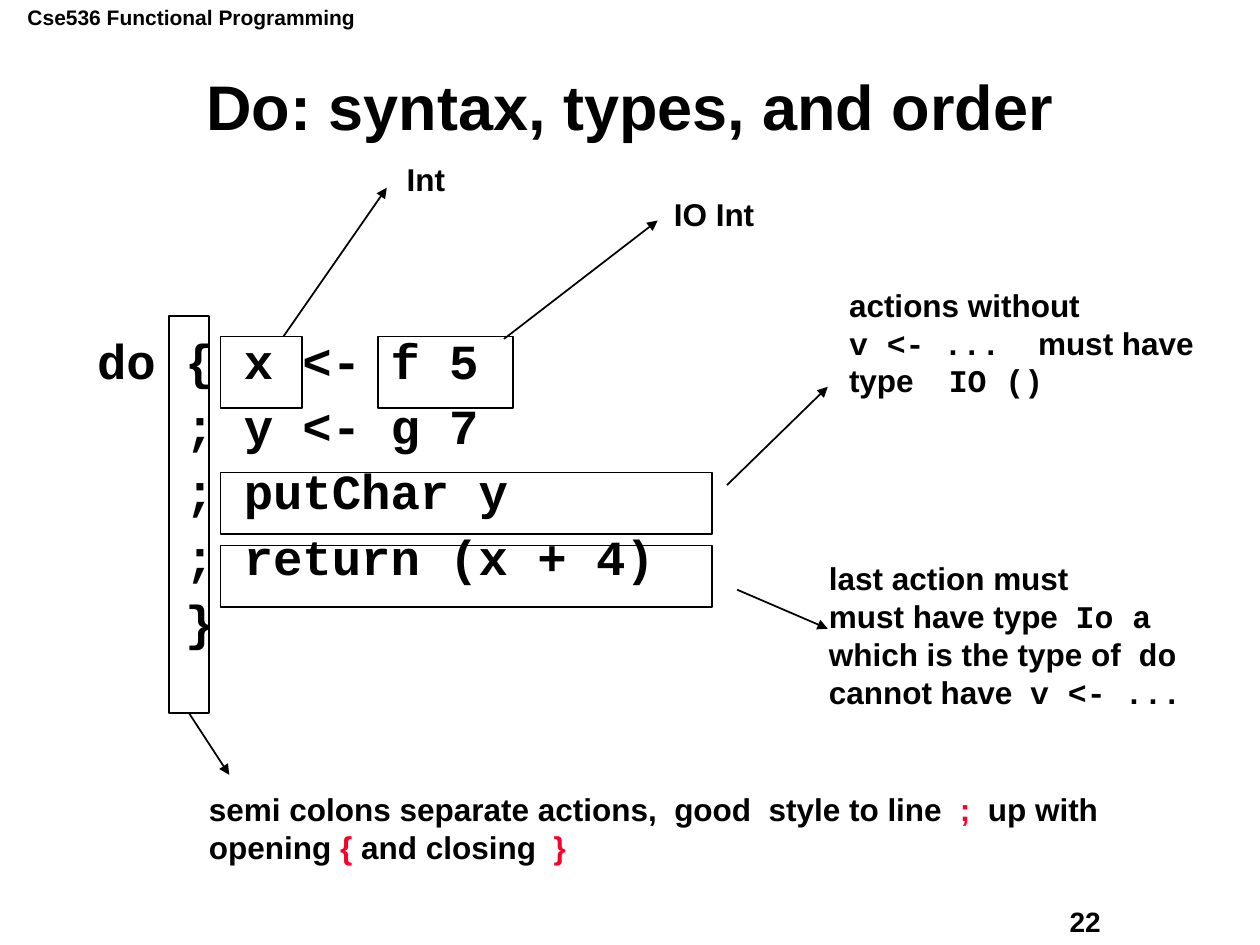
from dataclasses import dataclass

from lxml import etree
from pptx import Presentation
from pptx import util as u
from pptx.dml.color import RGBColor
from pptx.enum import shapes, text
from pptx.oxml.ns import qn

BLACK = RGBColor(0x00, 0x00, 0x00)
WHITE = RGBColor(0xFF, 0xFF, 0xFF)
RED = RGBColor(0xFC, 0x01, 0x28)
SANS = "Arial"
MONO = "Courier New"


@dataclass
class Box:
    left: float
    top: float
    width: float
    height: float

    def inside(self, left, top, width, height):
        return Box(self.left + left, self.top + top, width, height)

    def point(self, x, y):
        return self.left + x, self.top + y

    def lengths(self):
        return [u.Inches(n) for n in (self.left, self.top, self.width, self.height)]


def add_span(para, words, size, face=SANS, color=BLACK):
    span = para.add_run()
    span.text = words
    span.font.size = u.Pt(size)
    span.font.name = face
    span.font.bold = True
    span.font.color.rgb = color


def set_insets(frame):
    frame.margin_left = frame.margin_right = u.Inches(0.1)
    frame.margin_top = frame.margin_bottom = u.Inches(0.05)


def add_note(page, box, lines, size=18, wrap=False):
    frame = page.shapes.add_textbox(*box.lengths()).text_frame
    set_insets(frame)
    frame.word_wrap = wrap
    frame.auto_size = text.MSO_AUTO_SIZE.SHAPE_TO_FIT_TEXT
    for index, spans in enumerate(lines):
        para = frame.add_paragraph() if index else frame.paragraphs[0]
        for words, *style in spans:
            add_span(para, words, size, *style)


def add_frame(page, box):
    frame = page.shapes.add_shape(shapes.MSO_SHAPE.RECTANGLE, *box.lengths())
    frame.shadow.inherit = False
    frame.fill.solid()
    frame.fill.fore_color.rgb = WHITE
    frame.line.color.rgb = BLACK
    frame.line.width = u.Pt(1)
    return frame


def add_arrow(page, start, end):
    ends = [u.Inches(n) for n in (*start, *end)]
    arrow = page.shapes.add_connector(shapes.MSO_CONNECTOR.STRAIGHT, *ends)
    arrow.line.color.rgb = BLACK
    arrow.line.width = u.Pt(1)
    etree.SubElement(arrow.line._get_or_add_ln(), qn("a:tailEnd"), type="triangle")
    etree.SubElement(arrow.element.spPr, qn("a:effectLst"))
    return arrow


def place_holder(holder, box):
    holder.left, holder.top, holder.width, holder.height = box.lengths()
    holder.element.getparent().append(holder.element)
    frame = holder.text_frame
    set_insets(frame)
    frame.word_wrap = True
    frame.auto_size = text.MSO_AUTO_SIZE.NONE
    return frame


def add_margins(page, box):
    add_note(page, box.inside(0.12, -0.01, 2.8, 0.3),
             [[("Cse536 Functional Programming",)]], 12)
    add_note(page, box.inside(8.39, 7.13, 1.27, 0.36), [[("22",)]], 16)


def add_title(page, box):
    frame = place_holder(page.shapes.title, box)
    frame.vertical_anchor = text.MSO_ANCHOR.MIDDLE
    para = frame.paragraphs[0]
    para.alignment = text.PP_ALIGN.CENTER
    para.line_spacing = 0.9
    add_span(para, "Do: syntax, types, and order", 36)


def add_code(page, box):
    for top in (1.67, 1.09):
        add_frame(page, box.inside(1.08, top, 3.9, 0.49))
    column = add_frame(page, box.inside(0.67, -0.15, 0.32, 3.15))
    for left, width in ((1.08, 0.65), (2.33, 1.07)):
        add_frame(page, box.inside(left, 0.01, width, 0.57))

    frame = place_holder(page.placeholders[1], box)
    frame.vertical_anchor = text.MSO_ANCHOR.TOP
    code = ("do { x <- f 5", "   ; y <- g 7", "   ; putChar y",
            "   ; return (x + 4)", "   }")
    for index, line in enumerate(code):
        para = frame.add_paragraph() if index else frame.paragraphs[0]
        props = para._p.get_or_add_pPr()
        props.set("marL", str(u.Inches(0.31)))
        props.set("indent", str(u.Inches(-0.31)))
        etree.SubElement(props, qn("a:buNone"))
        para.alignment = text.PP_ALIGN.LEFT
        para.line_spacing = 0.8
        para.space_before = u.Pt(10.5 if index else 0)
        add_span(para, line, 28, MONO)
    return column


def add_type_notes(page, box):
    add_arrow(page, box.point(0, 1.45), box.point(0.82, 0.27))
    add_note(page, box.inside(0.88, 0, 0.53, 0.4), [[("Int",)]], wrap=True)
    add_arrow(page, box.point(1.75, 1.47), box.point(2.97, 0.53))
    add_note(page, box.inside(3, 0.28, 0.84, 0.4), [[("IO Int",)]])


def add_action_note(page, box):
    add_arrow(page, box.point(0, 1.63), box.point(0.8, 0.85))
    add_note(page, box.inside(0.87, 0, 3, 1), [
        [("actions without",)],
        [("v <- ...  ", MONO), ("must have",)],
        [("type    ",), ("IO ()", MONO)],
    ])


def add_result_note(page, box):
    add_arrow(page, box.point(0, 0.29), box.point(0.72, 0.6))
    add_note(page, box.inside(0.63, 0, 3.01, 1.3), [
        [("last action must",)],
        [("must have type  ",), ("Io a", MONO)],
        [("which is the type of  ",), ("do", MONO)],
        [("cannot have  ",), ("v <- ...", MONO)],
    ], wrap=True)


def add_style_note(page, box, column):
    arrow = add_arrow(page, box.point(0, 0), box.point(0.3, 0.47))
    arrow.begin_connect(column, 2)
    add_note(page, box.inside(0.04, 0.54, 7.32, 0.7), [
        [("semi colons separate actions,  good  style to line ",),
         (" ;  ", SANS, RED), ("up with",)],
        [("opening",), (" {", SANS, RED), (" and closing  ",), ("}", SANS, RED)],
    ])


def main():
    deck = Presentation()
    deck.slide_width = u.Inches(10)
    deck.slide_height = u.Inches(7.5)
    page = deck.slides.add_slide(deck.slide_layouts[1])
    add_margins(page, Box(0, 0, 10, 7.5))
    add_title(page, Box(0.75, 0.25, 8.5, 1.25))
    column = add_code(page, Box(0.67, 2.66, 8.92, 2.68))
    add_type_notes(page, Box(2.25, 1.22, 3.84, 1.47))
    add_action_note(page, Box(5.77, 2.22, 3.87, 1.63))
    add_result_note(page, Box(5.85, 4.39, 3.64, 1.3))
    add_style_note(page, Box(1.52, 5.68, 7.36, 1.24), column)
    deck.save("out.pptx")


if __name__ == "__main__":
    main()
